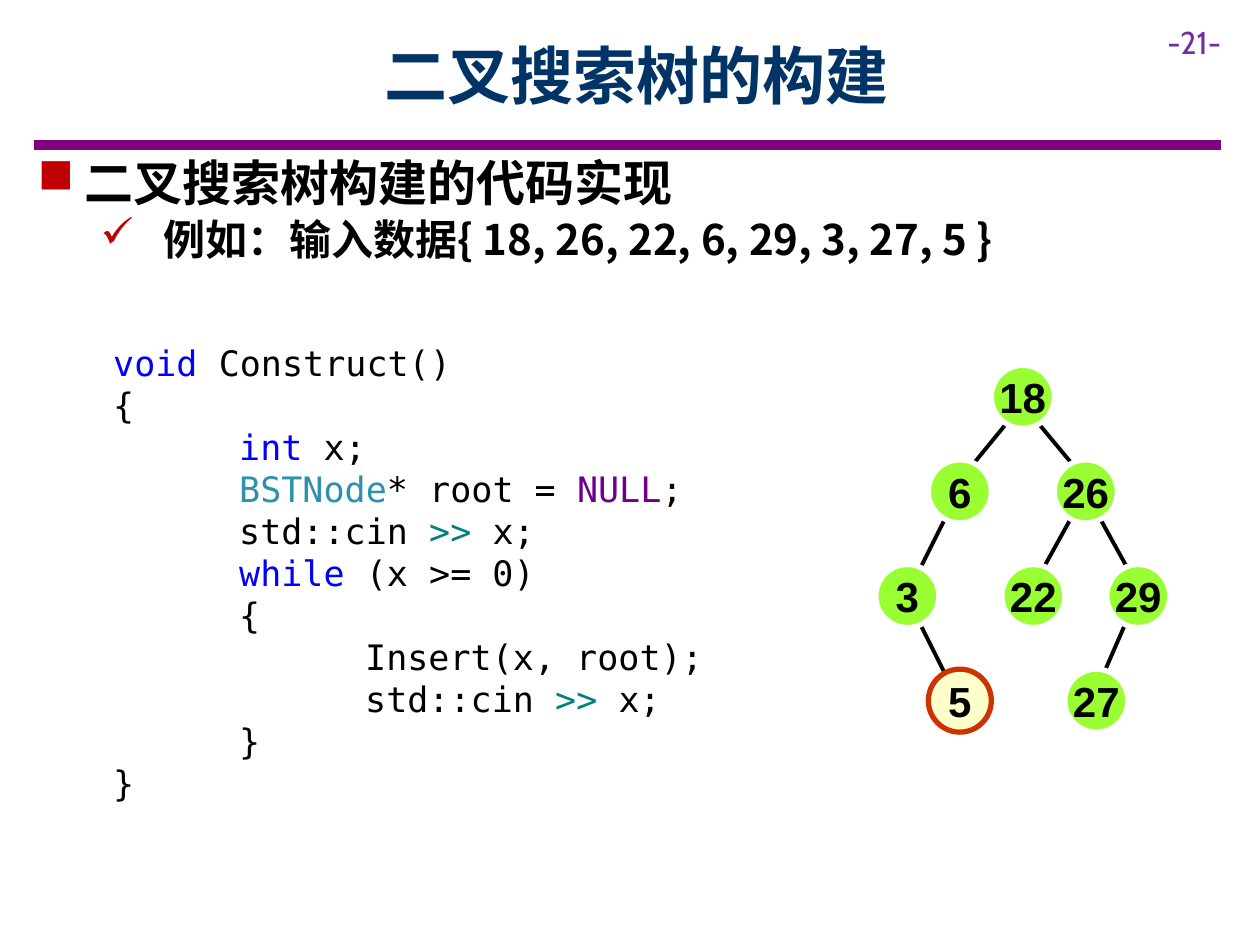
from dataclasses import dataclass
from lxml.etree import SubElement
from pptx import Presentation
from pptx.dml.color import RGBColor
from pptx.enum.shapes import MSO_CONNECTOR as Connector, MSO_SHAPE as Shape
from pptx.enum.text import MSO_ANCHOR as Anchor, PP_ALIGN as Align
from pptx.oxml.ns import qn
from pptx.util import Pt


@dataclass(frozen=True)
class Theme:
    heading: str = "003366"
    rule: str = "800080"
    page: str = "7030A0"
    bullet: str = "C00000"
    ink: str = "000000"
    keyword: str = "0000FF"
    type_name: str = "2B91AF"
    macro: str = "6F008A"
    operator: str = "008080"
    node: str = "99FF33"
    node_edge: str = "FFFFFF"
    new_node: str = "FFFFCC"
    new_edge: str = "CC3300"
    cjk: str = "Noto Sans CJK SC"
    mono: str = "DejaVu Sans Mono"
    title_size: int = 36
    topic_size: int = 28
    node_size: int = 24
    code_size: int = 20
    page_size: int = 18


theme = Theme()


def style(paragraph, face, size, color, bold=False):
    font = paragraph.font
    font.name, font.size, font.bold = face, Pt(size), bold
    font.color.rgb = RGBColor.from_string(color)
    SubElement(paragraph._p.pPr.find(qn("a:defRPr")), qn("a:ea"), typeface=face)


def draw_line(x1, y1, x2, y2, color, width):
    line = slide.shapes.add_connector(Connector.STRAIGHT, Pt(x1), Pt(y1), Pt(x2), Pt(y2))
    line.line.color.rgb = RGBColor.from_string(color)
    line.line.width = Pt(width)
    SubElement(line._element.spPr, qn("a:effectLst"))


deck = Presentation()
deck.slide_width, deck.slide_height = Pt(720), Pt(540)
slide = deck.slides.add_slide(deck.slide_layouts[5])

draw_line(19.5, 82.8, 697.7, 82.8, theme.rule, 6)

page_number = slide.shapes.add_textbox(Pt(660), Pt(9.4), Pt(60), Pt(29))
page_number.text_frame.text = "-21-"
style(page_number.text_frame.paragraphs[0], "Cabin", theme.page_size, theme.page)

title = slide.shapes.title
title.left, title.top, title.width, title.height = Pt(65), Pt(6.5), Pt(598), Pt(72)
title.text_frame.text = "二叉搜索树的构建"
title.text_frame.vertical_anchor = Anchor.MIDDLE
heading = title.text_frame.paragraphs[0]
heading.alignment = Align.CENTER
style(heading, theme.cjk, theme.title_size, theme.heading, True)

topics = slide.shapes.add_textbox(Pt(14.4), Pt(88.5), Pt(692), Pt(76)).text_frame
topics.word_wrap = True
topic_lines = [
    ("二叉搜索树构建的代码实现", theme.topic_size, 0, 27, 27, "■"),
    ("例如：输入数据{ 18, 26, 22, 6, 29, 3, 27, 5 }", theme.node_size, 1, 72, 36, "✓"),
]
for index, (words, size, level, margin, hanging, mark) in enumerate(topic_lines):
    topic = topics.add_paragraph() if index else topics.paragraphs[0]
    topic.text = words
    topic.level = level
    topic.line_spacing = 0.85
    topic.space_after = Pt(6)
    props = topic._p.get_or_add_pPr()
    props.set("marL", str(Pt(margin)))
    props.set("indent", str(-Pt(hanging)))
    SubElement(SubElement(props, qn("a:buClr")), qn("a:srgbClr"), val=theme.bullet)
    SubElement(props, qn("a:buChar"), char=mark)
    style(topic, theme.cjk, size, theme.ink, True)

edges = [
    (524, 353, 542, 389),
    (542, 292.5, 524, 328.5),
    (650, 340.5, 626.5, 394.5),
    (626.5, 292.5, 650, 335),
    (578, 238.5, 548.5, 274.5),
    (614, 292.5, 590.5, 335),
    (590.5, 238.5, 620.5, 274.5),
]
for edge in edges:
    draw_line(*edge, theme.ink, 2.25)

diameter = 36
tree_levels = [
    (208.8, {"18": 566.5}),
    (262.8, {"6": 530.5, "26": 602.5}),
    (322.6, {"3": 500.5, "22": 572.5, "29": 632.5}),
    (382.4, {"5": 530.5, "27": 608.5}),
]
for top, keys in tree_levels:
    for key, left in keys.items():
        fill, border = (theme.new_node, theme.new_edge) if key == "5" else (theme.node, theme.node_edge)
        node = slide.shapes.add_shape(Shape.OVAL, Pt(left), Pt(top), Pt(diameter), Pt(diameter))
        node.shadow.inherit = False
        node.fill.solid()
        node.fill.fore_color.rgb = RGBColor.from_string(fill)
        node.line.color.rgb = RGBColor.from_string(border)
        node.line.width = Pt(3)
        frame = node.text_frame
        frame.margin_left = frame.margin_right = frame.margin_top = frame.margin_bottom = 0
        frame.word_wrap = False
        frame.vertical_anchor = Anchor.MIDDLE
        frame.text = key
        frame.paragraphs[0].alignment = Align.CENTER
        style(frame.paragraphs[0], "Arial", theme.node_size, theme.ink, True)

code_lines = [
    [("void", theme.keyword), (" Construct()", None)],
    [("{", None)],
    [("\tint", theme.keyword), (" x;", None)],
    [("\tBSTNode", theme.type_name), ("* root = ", None), ("NULL", theme.macro), (";", None)],
    [("\tstd::cin ", None), (">>", theme.operator), (" x;", None)],
    [("\twhile", theme.keyword), (" (x >= 0)", None)],
    [("\t{", None)],
    [("\t\tInsert(x, root);", None)],
    [("\t\tstd::cin ", None), (">>", theme.operator), (" x;", None)],
    [("\t}", None)],
    [("}", None)],
]
code = slide.shapes.add_textbox(Pt(57.6), Pt(191.5), Pt(394.5), Pt(273.6)).text_frame
code.word_wrap = True
for index, tokens in enumerate(code_lines):
    code_line = code.add_paragraph() if index else code.paragraphs[0]
    tab_stops = SubElement(code_line._p.get_or_add_pPr(), qn("a:tabLst"))
    for stop in (72, 144):
        SubElement(tab_stops, qn("a:tab"), pos=str(Pt(stop)), algn="l")
    style(code_line, theme.mono, theme.code_size, theme.ink)
    for words, color in tokens:
        token = code_line.add_run()
        token.text = words
        if color:
            token.font.color.rgb = RGBColor.from_string(color)

deck.save("out.pptx")
